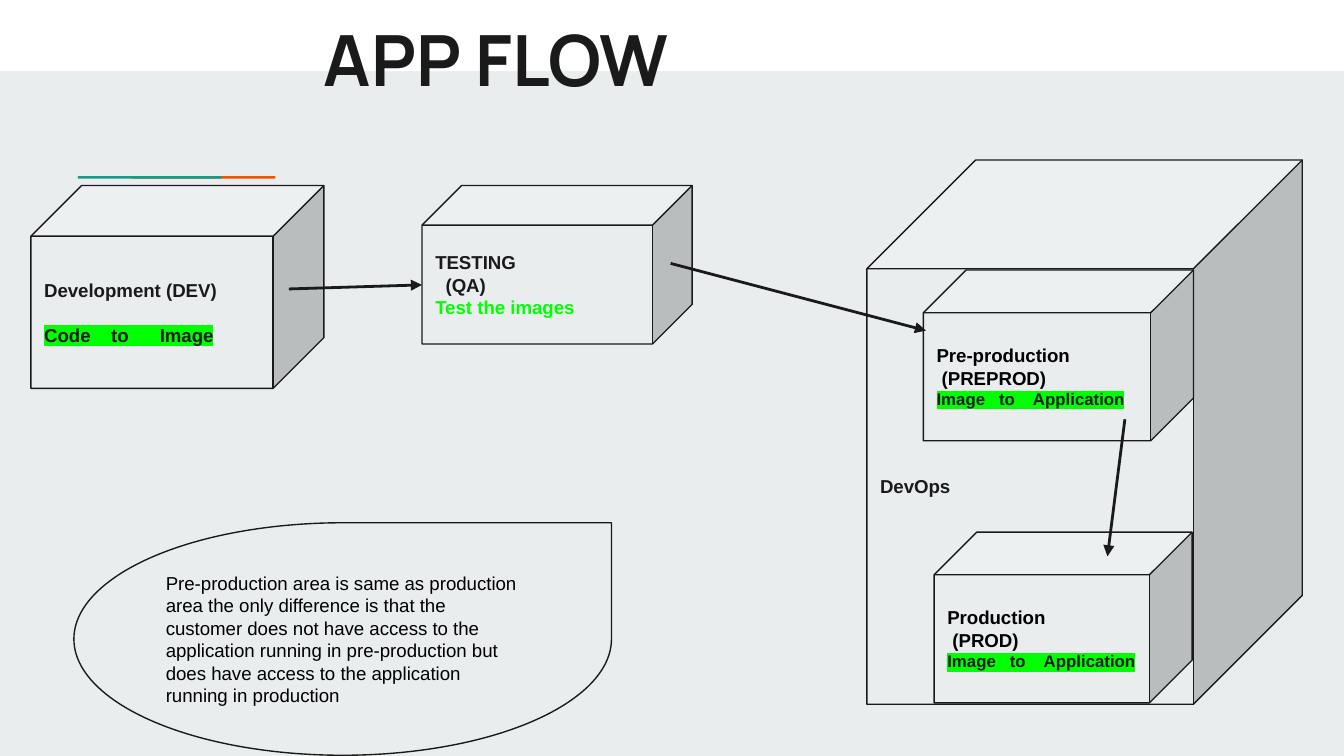
"""Build the app flow slide: stages as cubes, linked by arrows."""
from pptx import Presentation
from pptx import util as u
from pptx.dml.color import RGBColor
from pptx.enum import shapes, text
from pptx.oxml import ns, xmlchemy

COLORS = {
    "paper": "E9EDEE", "white": "FFFFFF", "ink": "1A1A1A", "black": "000000",
    "teal": "1A9988", "orange": "EB5600", "green": "00FF00",
}
KINDS = shapes.MSO_SHAPE


def color(name):
    return RGBColor.from_string(COLORS[name])


def add_element(parent, tag, **attributes):
    element = xmlchemy.OxmlElement(tag)
    for name, value in attributes.items():
        element.set(name, value)
    parent.append(element)
    return element


def add_span(para, words, size=10, ink="ink", bold=True, highlight=None, font="Arial"):
    span = para.add_run()
    span.text = words
    span.font.size = u.Pt(size)
    span.font.bold = bold
    span.font.color.rgb = color(ink)
    if highlight:
        mark = add_element(span.font._element, "a:highlight")
        add_element(mark, "a:srgbClr", val=COLORS[highlight])
    span.font.name = font


def set_frame(frame, anchor):
    frame.word_wrap = True
    frame.auto_size = text.MSO_AUTO_SIZE.NONE
    frame.vertical_anchor = anchor
    frame.margin_left = frame.margin_right = u.Inches(0.1)
    frame.margin_top = frame.margin_bottom = u.Inches(0.1)


def add_title(page, words):
    title = page.shapes.title
    title.left, title.top = u.Inches(2.31), u.Inches(0.02)
    title.width, title.height = u.Inches(8.98), u.Inches(0.64)
    set_frame(title.text_frame, text.MSO_ANCHOR.TOP)
    para = title.text_frame.paragraphs[0]
    para.alignment = text.PP_ALIGN.LEFT
    para.line_spacing = 1.0
    para.space_before = u.Pt(0)
    add_span(para, words, size=37.8, font="Manrope")


def add_box(page, kind, place, fill, outlined=False):
    box = page.shapes.add_shape(kind, *map(u.Inches, place))
    box.shadow.inherit = False
    box.fill.solid()
    box.fill.fore_color.rgb = color(fill)
    if outlined:
        box.line.color.rgb = color("ink")
        box.line.width = u.Pt(0.75)
    else:
        box.line.fill.background()
    return box


def add_label_box(page, kind, adjustment, place, lines):
    box = add_box(page, kind, place, "paper", outlined=True)
    box.adjustments[0] = adjustment
    frame = box.text_frame
    set_frame(frame, text.MSO_ANCHOR.MIDDLE)
    for index, (words, before, style) in enumerate(lines):
        para = frame.add_paragraph() if index else frame.paragraphs[0]
        para.alignment = text.PP_ALIGN.LEFT
        para.space_before = u.Pt(before)
        add_span(para, words, **style)


def add_arrow(page, start, end):
    arrow = page.shapes.add_connector(
        shapes.MSO_CONNECTOR.STRAIGHT, *map(u.Inches, start + end))
    arrow.line.color.rgb = color("ink")
    arrow.line.width = u.Pt(1.5)
    add_element(arrow.line._get_or_add_ln(), "a:tailEnd", type="triangle")
    add_element(arrow._element.find(ns.qn("p:spPr")), "a:effectLst")


def main():
    deck = Presentation()
    deck.slide_width = u.Inches(10)
    deck.slide_height = int(deck.slide_width * 9 / 16)
    page = deck.slides.add_slide(deck.slide_layouts[5])
    page.background.fill.solid()
    page.background.fill.fore_color.rgb = color("paper")

    add_box(page, KINDS.RECTANGLE, (0, 0, 10, 0.53), "white")
    for left, fill in ((0.98, "orange"), (0.58, "teal")):
        add_box(page, KINDS.RECTANGLE, (left, 1.31, 1.07, 0.02), fill)
    title = page.shapes.title._element
    title.getparent().append(title)
    add_title(page, "APP FLOW")

    black = {"ink": "black"}
    marked = {"highlight": "green"}
    release = ("Image   to    Application", 0, {"size": 9, **marked})
    stages = [
        ((0.23, 1.38, 2.18, 1.51), [("Development (DEV)", 0, {}),
                                    ("Code    to      Image", 12, marked)]),
        ((3.14, 1.38, 2.01, 1.18), [("TESTING", 0, {}), ("  (QA)", 0, {}),
                                    ("Test the images", 0, {"ink": "green"})]),
        ((6.45, 1.19, 3.24, 4.05), [("DevOps", 0, {})]),
        ((6.87, 2.01, 2.01, 1.27), [("Pre-production", 0, black),
                                    (" (PREPROD)", 0, black), release]),
        ((6.95, 3.96, 1.92, 1.27), [("Production", 0, black),
                                    (" (PROD)", 0, black), release]),
    ]
    for place, lines in stages:
        add_label_box(page, KINDS.CUBE, 0.25, place, lines)

    for start, end in (((2.15, 2.15), (3.14, 2.12)),
                       ((4.99, 1.96), (6.89, 2.46)),
                       ((8.37, 3.12), (8.24, 4.14))):
        add_arrow(page, start, end)

    note = ("Pre-production area is same as production area the only difference is "
            "that the customer does not have access to the application running in "
            "pre-production but does have access to the application running in production")
    add_label_box(page, KINDS.TEAR, 1, (0.55, 3.89, 4, 1.73),
                  [(note, 0, {"bold": False, **black})])
    deck.save("out.pptx")


if __name__ == "__main__":
    main()
